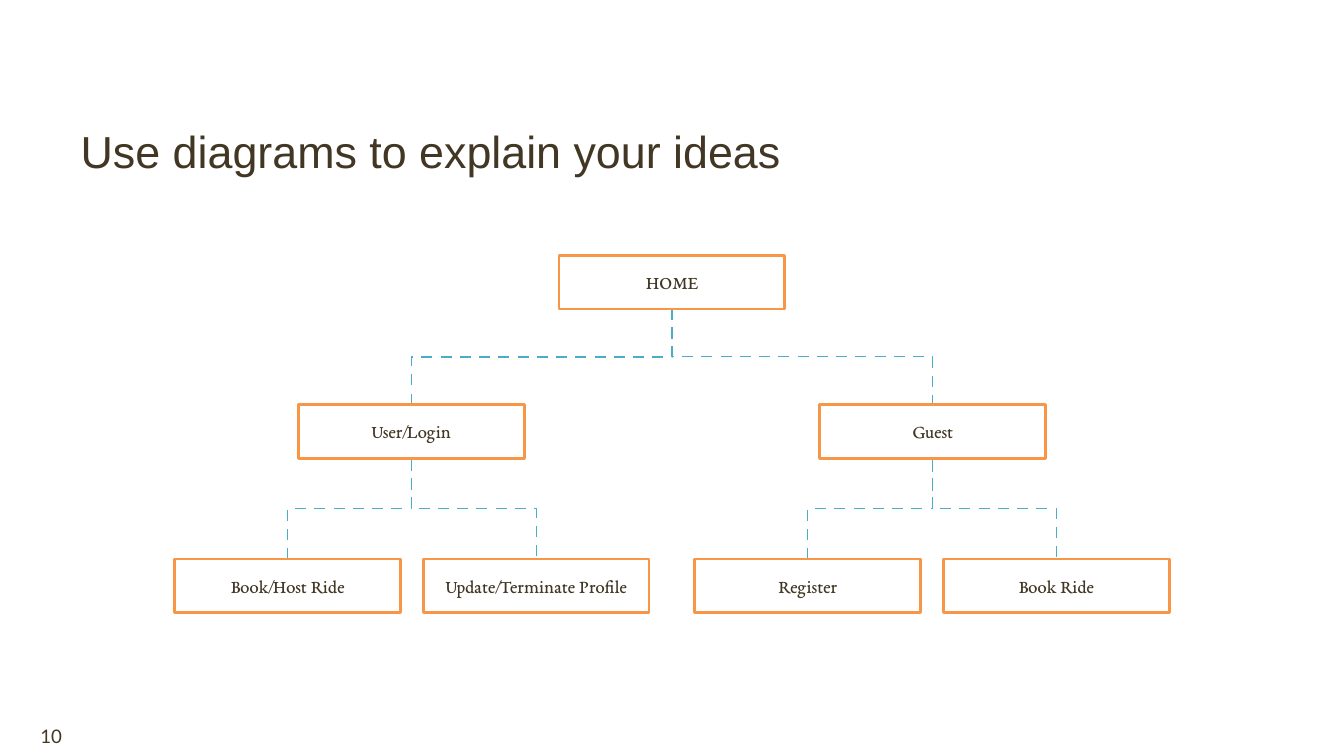
from lxml.etree import SubElement
from pptx import Presentation
from pptx.dml.color import RGBColor
from pptx.enum.shapes import MSO_CONNECTOR, MSO_SHAPE
from pptx.enum.text import MSO_ANCHOR, PP_ALIGN
from pptx.oxml.ns import qn
from pptx.util import Inches, Pt

COLORS = {"text": "413724", "box": "F79646", "link": "4BACC6", "fill": "FFFFFF"}
WIDTH, HEIGHT = 1.68, 0.4


def paint(name):
    return RGBColor.from_string(COLORS[name])


def write(shape, text, font, size, align, anchor, inset):
    frame = shape.text_frame
    frame.text = text
    frame.word_wrap = True
    frame.vertical_anchor = anchor
    frame.margin_left = frame.margin_right = Inches(inset)
    frame.margin_top = frame.margin_bottom = Inches(inset)
    line = frame.paragraphs[0]
    line.alignment = align
    run = line.runs[0]
    run.font.name = font
    run.font.size = Pt(size)
    run.font.color.rgb = paint("text")


deck = Presentation()
deck.slide_width, deck.slide_height = Inches(10), Inches(10 * 9 / 16)
slide = deck.slides.add_slide(deck.slide_layouts[5])
shapes = slide.shapes

title = shapes.title
title.left, title.top = Inches(0.6), Inches(0.47)
title.width, title.height = Inches(6.03), Inches(0.85)
write(title, "Use diagrams to explain your ideas", "Arial", 24,
      PP_ALIGN.LEFT, MSO_ANCHOR.BOTTOM, 0)

number = shapes.add_textbox(Inches(0.3), Inches(5.34), Inches(9.42), Inches(0.28))
write(number, "10", "Lato", 10, PP_ALIGN.LEFT, MSO_ANCHOR.MIDDLE, 0)

nodes = {
    "HOME": (5, 1.9, None),
    "User/Login": (3.06, 3.01, "HOME"),
    "Guest": (6.94, 3.01, "HOME"),
    "Book/Host Ride": (2.14, 4.16, "User/Login"),
    "Update/Terminate Profile": (3.99, 4.16, "User/Login"),
    "Register": (6.01, 4.16, "Guest"),
    "Book Ride": (7.86, 4.16, "Guest"),
}

for x, y, owner in nodes.values():
    if owner is None:
        continue
    top = nodes[owner][1] + HEIGHT
    start = nodes[owner][0]
    mid_x, mid_y = (start + x) / 2, (top + y) / 2
    reach = (y - top) / 2 * (1 if x > start else -1)
    span = abs(x - start) / 2
    link = shapes.add_connector(
        MSO_CONNECTOR.ELBOW,
        Inches(mid_x + reach), Inches(mid_y - span),
        Inches(mid_x - reach), Inches(mid_y + span))
    link.line.color.rgb = paint("link")
    link.line.width = Pt(0.75)
    props = link._element.spPr
    props.find(qn("a:xfrm")).set("rot", "16200000")
    dashes = SubElement(props.find(qn("a:ln")), qn("a:custDash"))
    SubElement(dashes, qn("a:ds"), d="800000", sp="600000")
    SubElement(props, qn("a:effectLst"))

for name, (x, y, owner) in nodes.items():
    box = shapes.add_shape(MSO_SHAPE.RECTANGLE, Inches(x - WIDTH / 2), Inches(y),
                           Inches(WIDTH), Inches(HEIGHT))
    box.shadow.inherit = False
    box.fill.solid()
    box.fill.fore_color.rgb = paint("fill")
    tint = box._element.spPr.find(qn("a:solidFill"))[0]
    SubElement(tint, qn("a:alpha")).set("val", "15000")
    box.line.color.rgb = paint("box")
    box.line.width = Pt(1.5)
    write(box, name, "EB Garamond", 10, PP_ALIGN.CENTER, MSO_ANCHOR.MIDDLE, 0.1)

deck.save("out.pptx")
